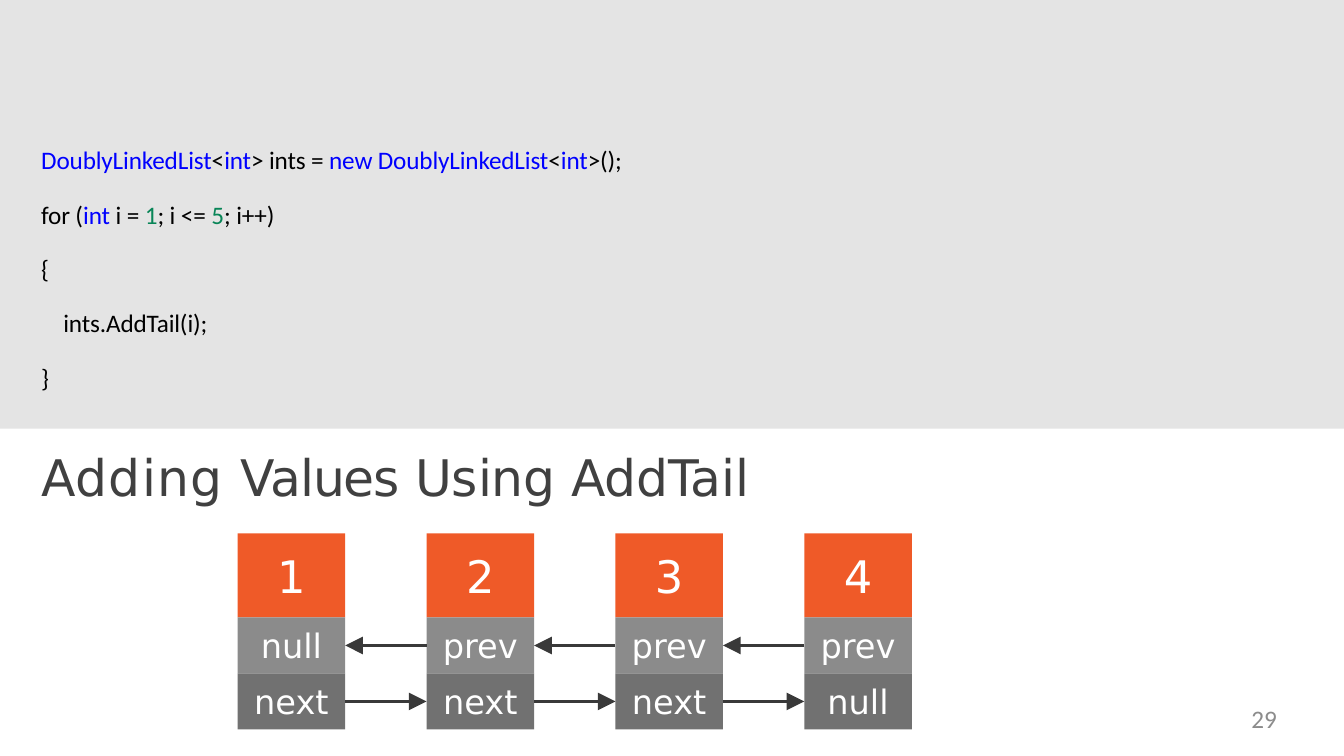
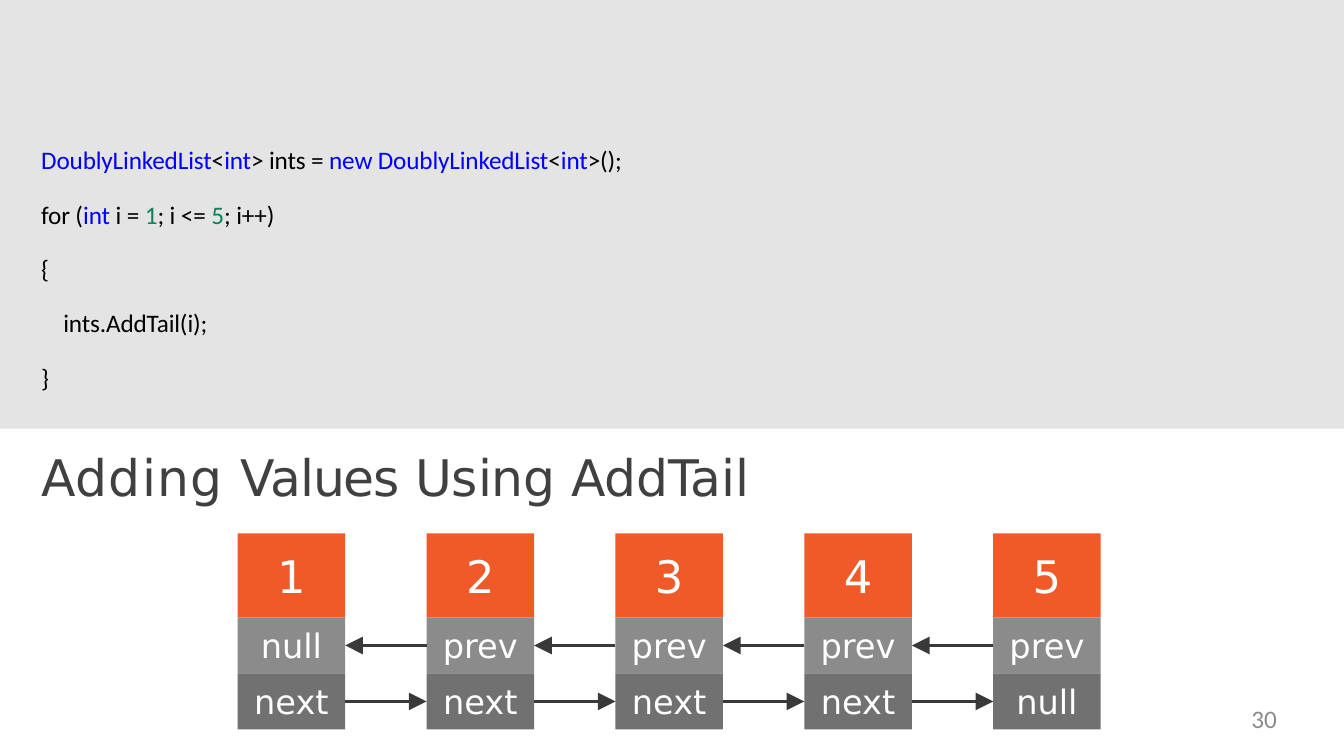
import pptx
import pptx.util
import pptx.dml.color
import pptx.enum.shapes
import pptx.enum.text
from lxml import etree
from pptx.util import Cm, Pt
from pptx.dml.color import RGBColor
from pptx.enum.shapes import MSO_CONNECTOR, MSO_SHAPE
from pptx.enum.text import MSO_ANCHOR, MSO_AUTO_SIZE, PP_ALIGN
from pptx.oxml.ns import qn

WHITE = RGBColor(0xFF, 0xFF, 0xFF)
BLACK = RGBColor(0x00, 0x00, 0x00)
BAND = RGBColor(0xE4, 0xE4, 0xE4)
TITLE = RGBColor(0x40, 0x40, 0x40)
KEYWORD = RGBColor(0x00, 0x00, 0xFF)
NUMBER = RGBColor(0x08, 0x85, 0x57)
ORANGE = RGBColor(0xEF, 0x5A, 0x28)
MID_GREY = RGBColor(0x8B, 0x8B, 0x8B)
DARK_GREY = RGBColor(0x71, 0x71, 0x71)
ARROW = RGBColor(0x39, 0x39, 0x39)
PAGE_GREY = RGBColor(0x8C, 0x8C, 0x8C)

HEADING_FONT, BODY_FONT = "DejaVu Sans", "Calibri"
SLIDE_W, SLIDE_H, BAND_H = 33.87, 19.05, 10.8
MARGIN = 1.04

NODE_LEFT, NODE_TOP, NODE_W, NODE_PITCH = 5.99, 13.44, 2.71, 4.76
# Fill, height and text size of a node's cells, from top to bottom
NODE_CELLS = [(ORANGE, 2.12, 32), (MID_GREY, 1.41, 24), (DARK_GREY, 1.41, 24)]

# Text and letter spacing in hundredths of a point
TITLE_PARTS = [("Adding ", 80), ("Values ", -70), ("Using AddTail", -10)]

CODE = [
    [("DoublyLinkedList", KEYWORD), ("<", BLACK), ("int", KEYWORD),
     ("> ints = ", BLACK), ("new DoublyLinkedList", KEYWORD), ("<", BLACK),
     ("int", KEYWORD), (">();", BLACK)],
    [("for (", BLACK), ("int ", KEYWORD), ("i = ", BLACK), ("1", NUMBER),
     ("; i <= ", BLACK), ("5", NUMBER), ("; i++)", BLACK)],
    [("{", BLACK)],
    [("    ints.AddTail(i);", BLACK)],
    [("}", BLACK)],
]


def set_frame(tf, anchor=MSO_ANCHOR.TOP):
    frame_format = {"margin_left": 0, "margin_top": 0, "margin_right": 0,
                    "margin_bottom": 0, "word_wrap": True,
                    "auto_size": MSO_AUTO_SIZE.NONE, "vertical_anchor": anchor}
    for name, value in frame_format.items():
        setattr(tf, name, value)


def add_run(p, text, font, size, color, spacing=0):
    """Add a run; spacing is in hundredths of a point."""
    r = p.add_run()
    r.text = text
    for name, value in {"name": font, "size": Pt(size), "bold": False}.items():
        setattr(r.font, name, value)
    r.font.color.rgb = color
    if spacing:
        r.font._element.set("spc", str(spacing))


def add_rect(s, left, top, width, height, fill):
    sp = s.shapes.add_shape(MSO_SHAPE.RECTANGLE, Cm(left), Cm(top),
                            Cm(width), Cm(height))
    sp.shadow.inherit = False
    sp.fill.solid()
    sp.fill.fore_color.rgb = fill
    sp.line.fill.background()
    return sp


def add_textbox(s, left, top, width, height):
    tf = s.shapes.add_textbox(Cm(left), Cm(top), Cm(width), Cm(height)).text_frame
    set_frame(tf)
    return tf


def add_title(s):
    title = s.shapes.title
    place = {"left": MARGIN, "top": 11.23, "width": 19, "height": 1.6}
    for name, value in place.items():
        setattr(title, name, Cm(value))
    set_frame(title.text_frame)
    p = title.text_frame.paragraphs[0]
    p.alignment = PP_ALIGN.LEFT
    for text, spacing in TITLE_PARTS:
        add_run(p, text, HEADING_FONT, 36, TITLE, spacing)


def add_code(s):
    tf = add_textbox(s, MARGIN, 3.64, 16, 6.5)
    for i, tokens in enumerate(CODE):
        p = tf.add_paragraph() if i else tf.paragraphs[0]
        p.space_after = Pt(17.3)
        for text, color in tokens:
            add_run(p, text, BODY_FONT, 18, color, -10)


def add_node(s, index, labels):
    """Add one list node and return its value, prev and next cells."""
    cells = []
    left, top = NODE_LEFT + index * NODE_PITCH, NODE_TOP
    for label, (fill, height, size) in zip(labels, NODE_CELLS):
        sp = add_rect(s, left, top, NODE_W, height, fill)
        set_frame(sp.text_frame, MSO_ANCHOR.MIDDLE)
        p = sp.text_frame.paragraphs[0]
        p.alignment = PP_ALIGN.CENTER
        add_run(p, label, HEADING_FONT, size, WHITE)
        cells.append(sp)
        top += height
    return cells


def add_arrow(s, start, start_side, end, end_side):
    c = s.shapes.add_connector(MSO_CONNECTOR.STRAIGHT, 0, 0, 0, 0)
    c.begin_connect(start, start_side)
    c.end_connect(end, end_side)
    c.line.color.rgb = ARROW
    c.line.width = Pt(2.52)
    etree.SubElement(c.line._get_or_add_ln(), qn("a:tailEnd"),
                     type="triangle", w="lg", len="lg")
    etree.SubElement(c._element.spPr, qn("a:effectLst"))


def add_linked_list(s, count):
    nodes = []
    for i in range(count):
        labels = (str(i + 1), "prev" if i else "null",
                  "next" if i < count - 1 else "null")
        nodes.append(add_node(s, i, labels))
    for (_, prev_a, next_a), (_, prev_b, next_b) in zip(nodes, nodes[1:]):
        add_arrow(s, prev_b, 1, prev_a, 3)
        add_arrow(s, next_a, 3, next_b, 1)


def add_page_number(s, number):
    p = add_textbox(s, 24.38, 17.72, 7.8, 0.97).paragraphs[0]
    p.alignment = PP_ALIGN.RIGHT
    add_run(p, str(number), BODY_FONT, 18, PAGE_GREY)


def add_list_slide(prs, count, number):
    s = prs.slides.add_slide(prs.slide_layouts[5])
    add_rect(s, 0, 0, SLIDE_W, BAND_H, BAND)
    add_code(s)
    add_title(s)
    add_linked_list(s, count)
    add_page_number(s, number)


def main():
    prs = pptx.Presentation()
    prs.slide_width, prs.slide_height = Cm(SLIDE_W), Cm(SLIDE_H)
    for count, number in [(4, 29), (5, 30)]:
        add_list_slide(prs, count, number)
    prs.save("out.pptx")


if __name__ == "__main__":
    main()
